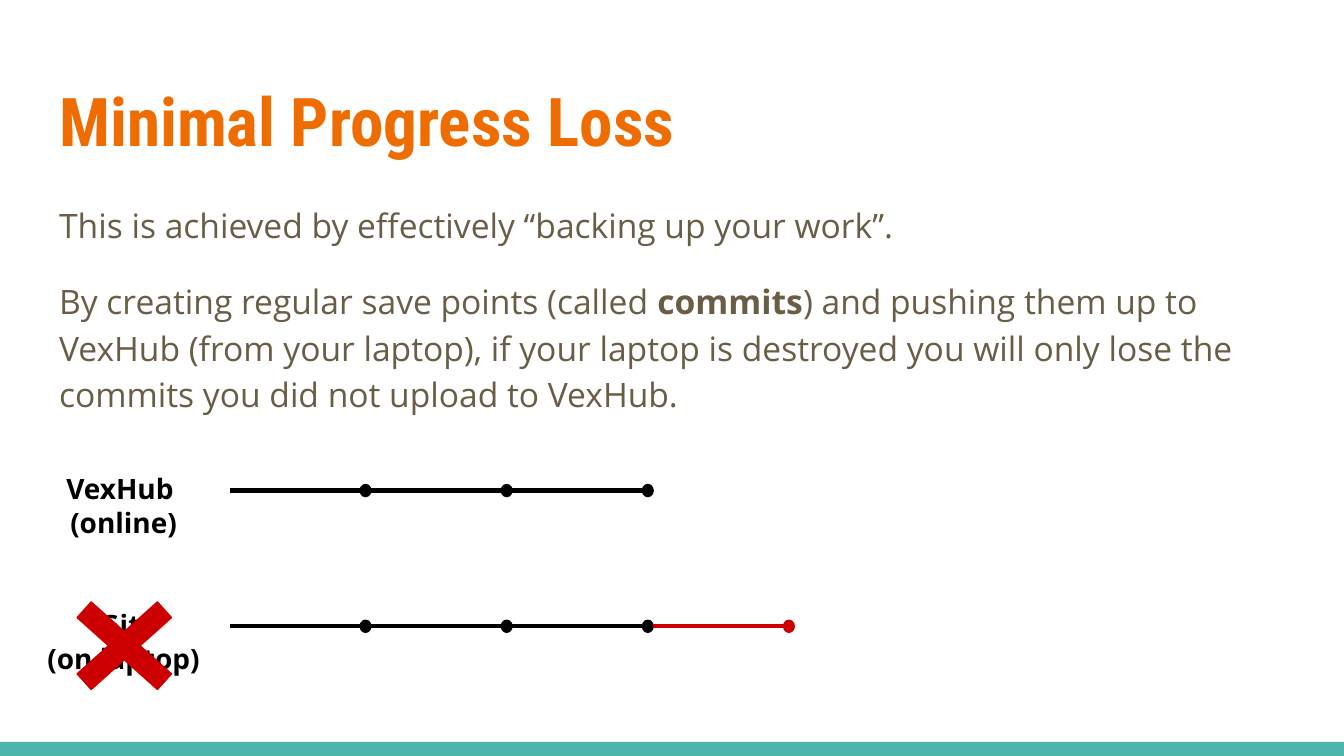
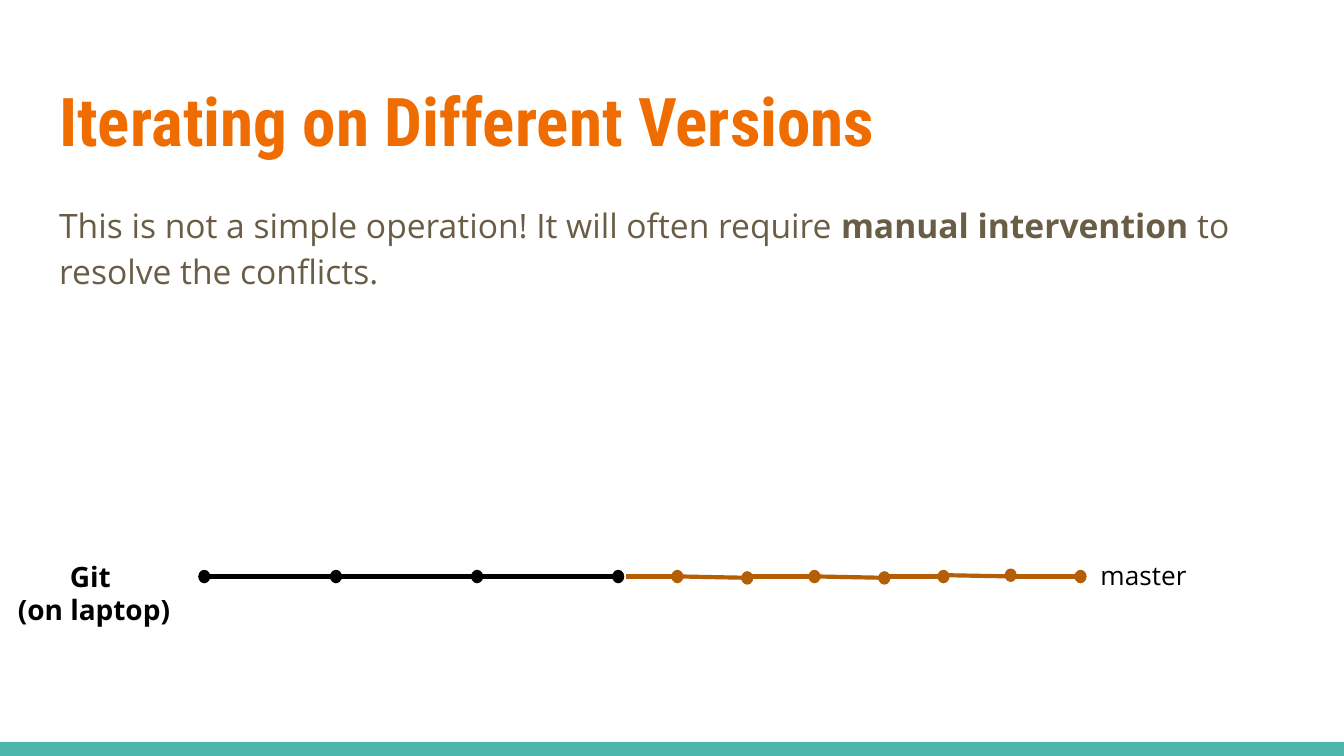
from dataclasses import dataclass

from lxml import etree
from pptx import Presentation
from pptx.dml.color import RGBColor
from pptx.enum import shapes, text
from pptx.oxml import ns
from pptx.util import Inches, Pt

# Shared style
COLORS = {
    "title": "EF6C00", "body": "695D46", "band": "4DB6AC",
    "black": "000000", "lost": "CC0000", "conflict": "B45F06",
}
HEAD_FONT, BODY_FONT = "Roboto Condensed", "Open Sans"
DOT_W, DOT_H = 0.08, 0.09
STEP = 1.05  # distance between commits on a main branch


@dataclass
class Para:
    runs: list[tuple[str, bool]]  # wording, bold
    before: float = 0
    after: float = 0


@dataclass
class Branch:
    x: float  # left edge of the first commit
    y: float
    commits: int
    color: str = "black"


@dataclass
class Link:
    x: float
    y1: float
    y2: float
    length: float = 0.52


def rgb(name: str) -> RGBColor:
    return RGBColor.from_string(COLORS[name])


def set_font(p, name: str, size: float, color: str, bold: bool = False) -> None:
    p.font.name, p.font.size, p.font.bold = name, Pt(size), bold
    p.font.color.rgb = rgb(color)


def set_frame(tf) -> None:
    tf.word_wrap = True
    tf.auto_size = text.MSO_AUTO_SIZE.NONE
    tf.vertical_anchor = text.MSO_ANCHOR.TOP
    tf.margin_left = tf.margin_right = tf.margin_top = tf.margin_bottom = Inches(0.1)


def place(sp, x: float, y: float, w: float, h: float) -> None:
    sp.left, sp.top, sp.width, sp.height = (Inches(v) for v in (x, y, w, h))


def add_shape(slide, kind, x: float, y: float, w: float, h: float, color: str):
    sp = slide.shapes.add_shape(kind, Inches(x), Inches(y), Inches(w), Inches(h))
    sp.shadow.inherit = False
    sp.fill.solid()
    sp.fill.fore_color.rgb = rgb(color)
    sp.line.color.rgb = rgb(color)
    sp.line.width = Pt(0.75)
    return sp


def add_line(slide, x1: float, y1: float, x2: float, y2: float, color: str) -> None:
    line = slide.shapes.add_connector(
        shapes.MSO_CONNECTOR.STRAIGHT, Inches(x1), Inches(y1), Inches(x2), Inches(y2))
    line.line.color.rgb = rgb(color)
    line.line.width = Pt(2.25)
    etree.SubElement(line.element.spPr, ns.qn("a:effectLst"))


def add_dot(slide, x: float, y: float, color: str) -> None:
    add_shape(slide, shapes.MSO_SHAPE.OVAL, x, y - DOT_H / 2, DOT_W, DOT_H, color)


def add_branch(slide, branch: Branch) -> None:
    """Draw each commit with the line that leads to it."""
    for i in range(branch.commits):
        x = branch.x + i * STEP
        add_line(slide, x - STEP + DOT_W, branch.y, x, branch.y, branch.color)
        add_dot(slide, x, branch.y, branch.color)


def add_label(slide, x: float, y: float, h: float, lines: list[str],
              size: float = 15, bold: bool = True, align=text.PP_ALIGN.CENTER) -> None:
    tf = slide.shapes.add_textbox(Inches(x), Inches(y), Inches(1.4), Inches(h)).text_frame
    set_frame(tf)
    for i, line in enumerate(lines):
        p = tf.add_paragraph() if i else tf.paragraphs[0]
        p.text, p.alignment = line, align
        set_font(p, BODY_FONT, size, "black", bold)


def add_slide(prs, title: str, body: list[Para], body_h: float):
    slide = prs.slides.add_slide(prs.slide_layouts[1])
    head, content = slide.placeholders[0], slide.placeholders[1]
    place(head, 0.34, 0.49, 9.32, 0.77)
    set_frame(head.text_frame)
    p = head.text_frame.paragraphs[0]
    p.text, p.alignment = title, text.PP_ALIGN.LEFT
    set_font(p, HEAD_FONT, 36, "title", True)

    place(content, 0.34, 1.38, 9.32, body_h)
    tf = content.text_frame
    set_frame(tf)
    for i, para in enumerate(body):
        p = tf.add_paragraph() if i else tf.paragraphs[0]
        p.line_spacing = 1.15
        p.space_before, p.space_after = Pt(para.before), Pt(para.after)
        set_font(p, BODY_FONT, 18, "body")
        pPr = p._p.get_or_add_pPr()
        pPr.set("marL", "0")
        pPr.set("indent", "0")
        bullet = etree.Element(ns.qn("a:buNone"))
        pPr.find(ns.qn("a:defRPr")).addprevious(bullet)
        for wording, bold in para.runs:
            r = p.add_run()
            r.text, r.font.bold = wording, bold
    return slide


# Widescreen deck
prs = Presentation()
prs.slide_width = Inches(10)
prs.slide_height = prs.slide_width * 9 // 16

# Slide 1: commits saved online and lost on the laptop
slide = add_slide(prs, "Minimal Progress Loss", [
    Para([("This is achieved by effectively “backing up your work”.", False)]),
    Para([("By creating regular save points (called ", False), ("commits", True),
          (") and pushing them up to VexHub (from your laptop), if your laptop is "
           "destroyed you will only lose the commits you did not upload to VexHub.", False)],
         before=16, after=16),
], 1.73)

# The footer band belongs to the master
band = add_shape(slide, shapes.MSO_SHAPE.RECTANGLE, 0, 5.52, 10, 0.11, "band")
band.line.fill.background()
prs.slide_master.shapes.element.append(band.element)

for y, name, place_name in ((3.65, "VexHub ", "(online)"), (4.66, "Git ", "(on laptop)")):
    add_branch(slide, Branch(2.68, y, 3))
    add_label(slide, 0.22, y - 0.24, 0.77, [name, place_name])
add_branch(slide, Branch(2.68 + 3 * STEP, 4.66, 1, "lost"))
cross = add_shape(slide, shapes.MSO_SHAPE.MATH_MULTIPLY, 0.35, 4.29, 1.15, 1.03, "lost")
cross.adjustments[0] = 0.152

# Slide 2: conflicting commits merged into one branch
slide = add_slide(prs, "Iterating on Different Versions", [
    Para([("This is not a simple operation! It will often require ", False),
          ("manual intervention", True), (" to resolve the conflicts.", False)], after=16),
], 0.87)
add_dot(slide, 1.48, 4.29, "black")
add_branch(slide, Branch(2.46, 4.29, 3))
add_label(slide, 0, 4.06, 0.77, ["Git ", "(on laptop)"])
add_label(slide, 8.09, 4.06, 0.27, ["master"], 14, False, text.PP_ALIGN.LEFT)

for link in (Link(4.66, 4.29, 4.29, 0.34), Link(5.08, 4.29, 4.3), Link(5.58, 4.29, 4.29),
             Link(6.1, 4.29, 4.3), Link(6.54, 4.29, 4.29), Link(7.04, 4.28, 4.29),
             Link(7.56, 4.29, 4.29)):
    add_line(slide, link.x, link.y1, link.x + link.length, link.y2, "conflict")
for x, y in ((5, 4.29), (5.52, 4.3), (6.02, 4.29), (6.54, 4.3),
             (6.98, 4.29), (7.48, 4.28), (8, 4.29)):
    add_dot(slide, x, y, "conflict")

prs.save("out.pptx")
